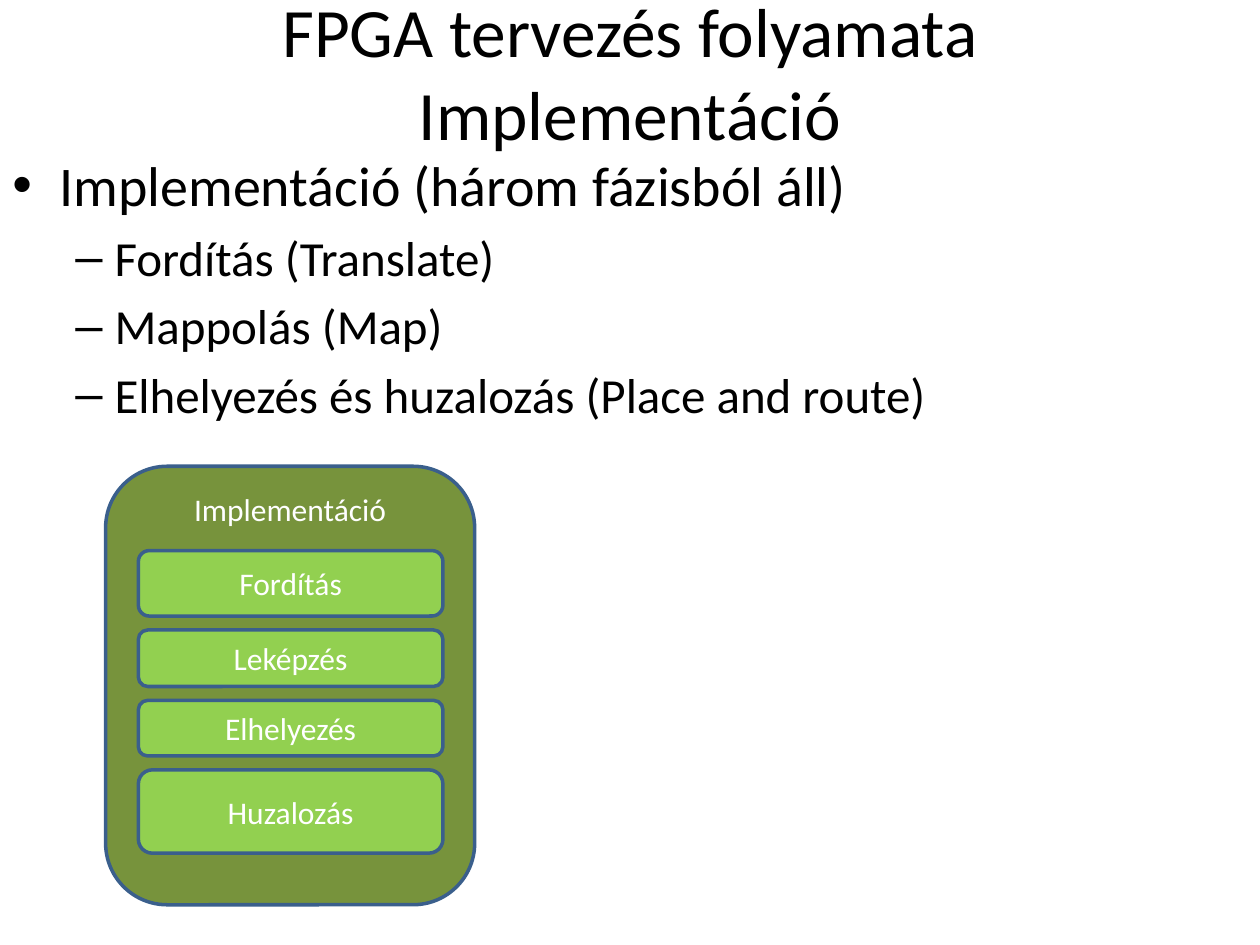
import pptx
import pptx.util
import pptx.dml.color
import pptx.enum.shapes
import pptx.enum.text
from lxml import etree

Cm = pptx.util.Cm
Pt = pptx.util.Pt
ALIGN = pptx.enum.text.PP_ALIGN
ANCHOR = pptx.enum.text.MSO_ANCHOR


def color(hex_value):
    return pptx.dml.color.RGBColor.from_string(hex_value)


def write(paragraph, text, size=18, ink="FFFFFF", align=ALIGN.CENTER,
          before=0, bullet=None, indent=0, hanging=0):
    paragraph.text = text
    paragraph.alignment = align
    paragraph.space_before = Pt(before)
    for run in paragraph.runs:
        run.font.size = Pt(size)
        run.font.name = "Calibri"
        run.font.color.rgb = color(ink)
    namespace = pptx.oxml.ns.qn("a:br").split("}")[0] + "}"
    for line_break in paragraph._p.findall(namespace + "br"):
        etree.SubElement(line_break, namespace + "rPr", sz=str(round(size * 100)))
    if bullet:
        properties = paragraph._p.get_or_add_pPr()
        properties.set("marL", str(Cm(indent)))
        properties.set("indent", str(-Cm(hanging)))
        etree.SubElement(properties, namespace + "buFont", typeface="Arial")
        etree.SubElement(properties, namespace + "buChar", char=bullet)


deck = pptx.Presentation()
deck.slide_width = Cm(25.4)
deck.slide_height = Cm(19.05)
slide = deck.slides.add_slide(deck.slide_layouts[5])

title = slide.shapes.title
title.left, title.top, title.width, title.height = Cm(0), Cm(0), Cm(25.4), Cm(2.87)
title.text_frame.auto_size = pptx.enum.text.MSO_AUTO_SIZE.NONE
title.text_frame.vertical_anchor = ANCHOR.MIDDLE
write(title.text_frame.paragraphs[0], "FPGA tervezés folyamata\vImplementáció",
      size=39.6, ink="000000")

phases = slide.shapes.add_textbox(Cm(0), Cm(2.9), Cm(25.4), Cm(14.12)).text_frame
phases.word_wrap = True
write(phases.paragraphs[0], "Implementáció (három fázisból áll)", size=32, ink="000000",
      align=ALIGN.LEFT, before=6.4, bullet="•", indent=0.95, hanging=0.95)
for phase in ("Fordítás (Translate)", "Mappolás (Map)",
              "Elhelyezés és huzalozás (Place and route)"):
    entry = phases.add_paragraph()
    entry.level = 1
    write(entry, phase, size=28, ink="000000", align=ALIGN.LEFT, before=5.6,
          bullet="–", indent=2.06, hanging=0.79)

blocks = [("Implementáció", 2.13, 9.4, 7.44, 8.84, "77933C", ANCHOR.TOP)]
step_top = 11.1
for step, step_height in (("Fordítás", 1.32), ("Leképzés", 1.14),
                          ("Elhelyezés", 1.12), ("Huzalozás", 1.68)):
    blocks.append((step, 2.79, step_top, 6.14, step_height, "92D050", ANCHOR.MIDDLE))
    step_top += step_height + 0.28

for label, left, top, width, height, fill, anchor in blocks:
    block = slide.shapes.add_shape(pptx.enum.shapes.MSO_SHAPE.ROUNDED_RECTANGLE,
                                   Cm(left), Cm(top), Cm(width), Cm(height))
    block.shadow.inherit = False
    block.fill.solid()
    block.fill.fore_color.rgb = color(fill)
    block.line.color.rgb = color("3A5F8C")
    block.line.width = Pt(2)
    block.text_frame.vertical_anchor = anchor
    write(block.text_frame.paragraphs[0], label)

deck.save("out.pptx")
